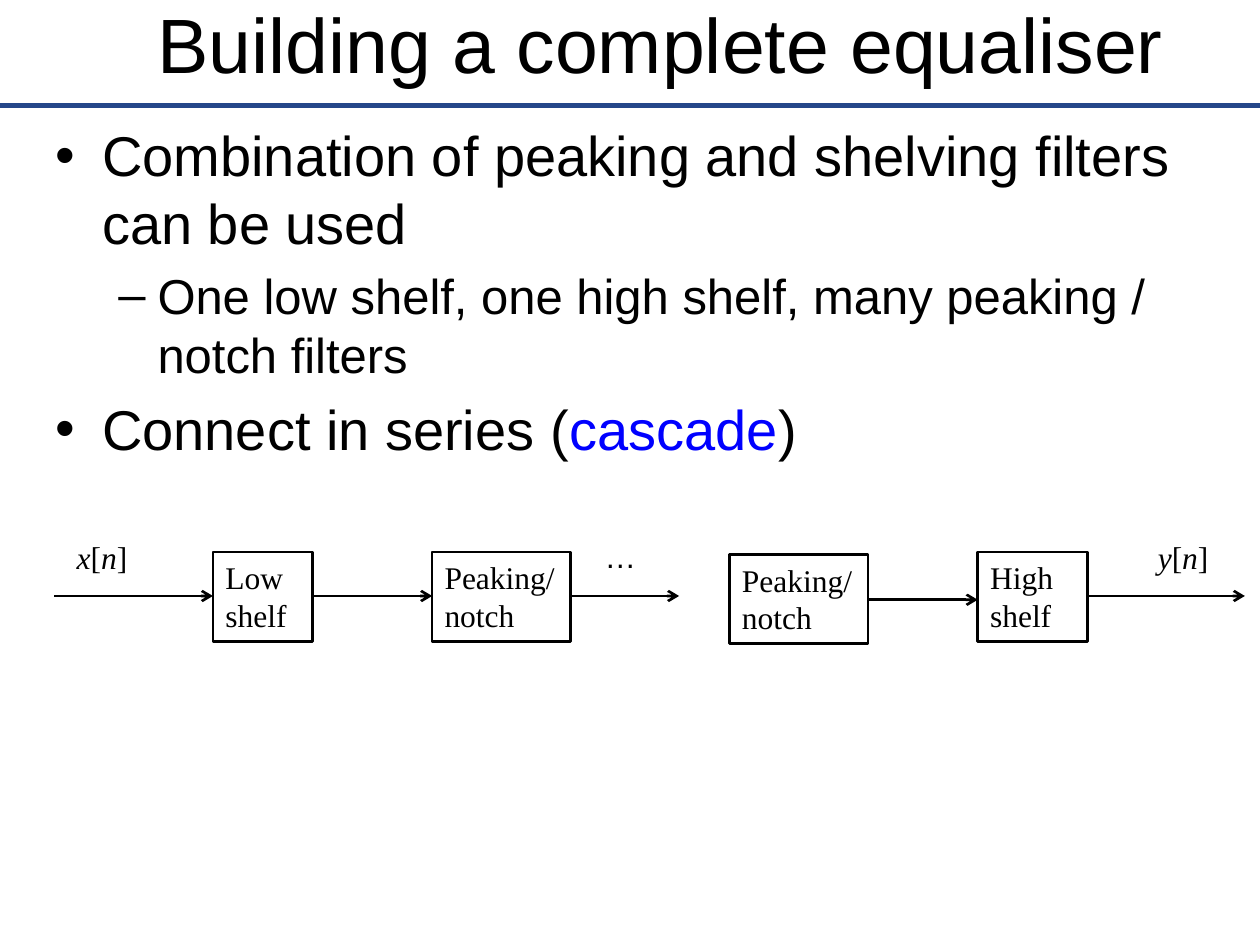
from dataclasses import dataclass

from pptx import Presentation
from pptx import util as u
from pptx.dml.color import RGBColor
from pptx.enum import shapes, text
from pptx.oxml import parse_xml
from pptx.oxml.ns import nsdecls, qn
from pptx.slide import Slide


def colour(hex_string):
    return RGBColor.from_string(hex_string)


def set_indent(para, left, first=0):
    properties = para._p.get_or_add_pPr()
    properties.set("marL", str(u.Inches(left)))
    properties.set("indent", str(u.Inches(first)))


@dataclass
class SlideBuilder:
    slide: Slide
    ink: str = "000000"
    accent: str = "0000FF"
    rule: str = "254789"
    heading_font: str = "Arial"
    diagram_font: str = "Times New Roman"
    diagram_size: int = 18
    line_width: float = 1.5

    def style(self, para, font, size):
        para.font.name = font
        para.font.size = u.Pt(size)
        para.font.color.rgb = colour(self.ink)

    def place(self, shape, left, top, width, height):
        shape.left, shape.top = u.Inches(left), u.Inches(top)
        shape.width, shape.height = u.Inches(width), u.Inches(height)

    def title(self, wording):
        title = self.slide.shapes.title
        self.place(title, 0.5, 0, 9, 0.68)
        frame = title.text_frame
        frame.text = wording
        frame.auto_size = text.MSO_AUTO_SIZE.NONE
        frame.vertical_anchor = text.MSO_ANCHOR.MIDDLE
        para = frame.paragraphs[0]
        para.alignment = text.PP_ALIGN.CENTER
        set_indent(para, 0.49)
        self.style(para, self.heading_font, 44)

    def bullets(self, items):
        """Fill the body from (level, spans) pairs; a span is (wording, accented)."""
        body = self.slide.placeholders[1]
        self.place(body, 0.27, 0.91, 9.53, 6.14)
        frame = body.text_frame
        frame.auto_size = text.MSO_AUTO_SIZE.NONE
        levels = [(32, 0.44, -0.37), (28, 0.88, -0.31)]
        for index, (level, spans) in enumerate(items):
            para = frame.add_paragraph() if index else frame.paragraphs[0]
            size, left, first = levels[level]
            para.level = level
            set_indent(para, left, first)
            self.style(para, self.heading_font, size)
            for wording, accented in spans:
                span = para.add_run()
                span.text = wording
                if accented:
                    span.font.color.rgb = colour(self.accent)

    def line(self, start, end, y, hex_string=None, width=None, arrow=True):
        line = self.slide.shapes.add_connector(
            shapes.MSO_CONNECTOR.STRAIGHT,
            u.Inches(start), u.Inches(y), u.Inches(end), u.Inches(y))
        line.line.color.rgb = colour(hex_string or self.ink)
        line.line.width = u.Pt(width or self.line_width)
        if arrow:
            line.line._get_or_add_ln().append(
                parse_xml(f'<a:tailEnd {nsdecls("a")} type="arrow"/>'))
        line._element.find(qn("p:spPr")).append(
            parse_xml(f'<a:effectLst {nsdecls("a")}/>'))

    def block(self, wording, left, top, width):
        box = self.slide.shapes.add_shape(
            shapes.MSO_SHAPE.RECTANGLE,
            u.Inches(left), u.Inches(top), u.Inches(width), u.Inches(0.71))
        box.shadow.inherit = False
        box.fill.background()
        box.line.color.rgb = colour(self.ink)
        box.line.width = u.Pt(self.line_width)
        frame = box.text_frame
        frame.text = wording
        frame.word_wrap = True
        frame.vertical_anchor = text.MSO_ANCHOR.TOP
        para = frame.paragraphs[0]
        para.alignment = text.PP_ALIGN.LEFT
        self.style(para, self.diagram_font, self.diagram_size)

    def label(self, left, top, width, spans, font, wrap=False):
        """Add a text box from (wording, italic) spans."""
        box = self.slide.shapes.add_textbox(
            u.Inches(left), u.Inches(top), u.Inches(width), u.Inches(0.4))
        box.text_frame.word_wrap = wrap
        para = box.text_frame.paragraphs[0]
        self.style(para, font, self.diagram_size)
        for wording, italic in spans:
            span = para.add_run()
            span.text = wording
            span.font.italic = italic

    def signal(self, name, left):
        spans = [(name, True), ("[", False), ("n", True), ("]", False)]
        self.label(left, 4.22, 0.62, spans, self.diagram_font)


def main():
    deck = Presentation()
    deck.slide_width, deck.slide_height = u.Inches(10), u.Inches(7.5)
    page = SlideBuilder(deck.slides.add_slide(deck.slide_layouts[1]))

    page.line(0, 10, 0.84, page.rule, 3, arrow=False)
    page.title("Building a complete equaliser")
    page.bullets([
        (0, [("Combination of peaking and shelving filters can be used", False)]),
        (1, [("One low shelf, one high shelf, many peaking / notch filters", False)]),
        (0, [("Connect in series (", False), ("cascade", True), (")", False)]),
    ])

    for wording, left, top, width in [
        ("Low shelf", 1.69, 4.38, 0.79),
        ("Peaking/ notch", 3.43, 4.38, 1.1),
        ("Peaking/ notch", 5.79, 4.4, 1.1),
        ("High shelf", 7.76, 4.38, 0.87),
    ]:
        page.block(wording, left, top, width)

    for start, end, y in [
        (0.43, 1.69, 4.73),
        (2.48, 3.43, 4.73),
        (4.53, 5.39, 4.73),
        (6.89, 7.76, 4.76),
        (8.62, 9.88, 4.73),
    ]:
        page.line(start, end, y)

    page.signal("x", 0.51)
    page.signal("y", 9.09)
    page.label(4.7, 4.21, 2, [("…", False)], page.heading_font, wrap=True)

    deck.save("out.pptx")


if __name__ == "__main__":
    main()
